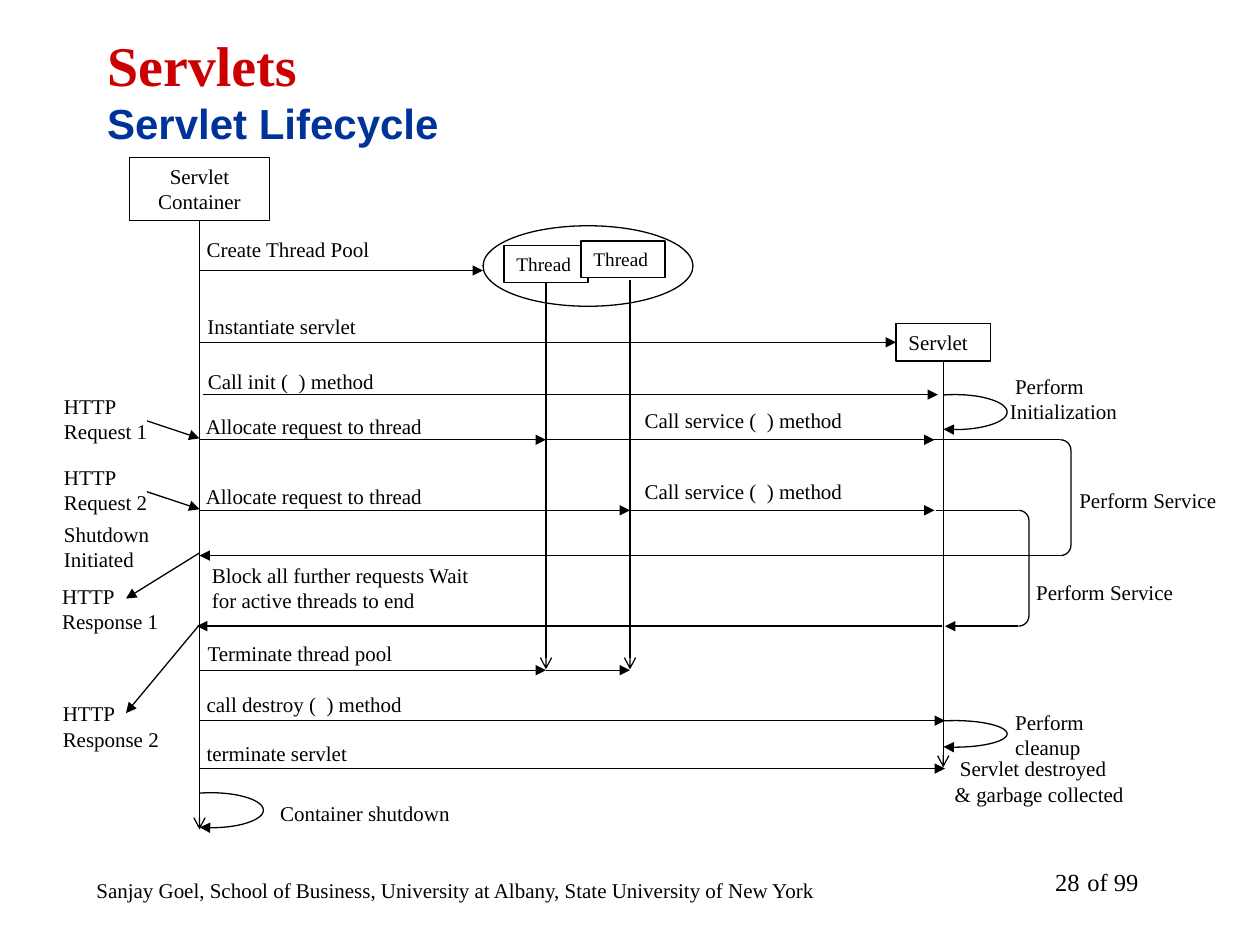
"""Build the servlet lifecycle sequence diagram slide."""
from math import atan2, degrees
from typing import NamedTuple

from lxml.etree import SubElement
from pptx import Presentation
from pptx.dml.color import RGBColor
from pptx.enum.shapes import MSO_CONNECTOR as Link, MSO_SHAPE as Preset
from pptx.enum.text import MSO_ANCHOR as Anchor, MSO_AUTO_SIZE as AutoSize, PP_ALIGN as Align
from pptx.oxml.ns import qn
from pptx.util import Pt

BLACK, WHITE, RED, BLUE = "000000", "FFFFFF", "CC0000", "003399"
SERIF, SANS = "Times New Roman", "Arial"
CONTAINER, THREAD_1, THREAD_2, SERVLET = 114, 312, 360, 539
REQUEST_1, REQUEST_2, REPLY_1, REPLY_2 = 251.3, 291.6, 317.5, 357.8
POOL_END, DESTROY, FINISH = 383, 411.8, 439.2
LEFT, BOTTOM = 1, 2


class Label(NamedTuple):
    text: str
    left: float
    top: float
    width: float
    height: float = 21.6
    indent: float = 0
    size: float = 12
    align: Align = Align.LEFT


class Arrow(NamedTuple):
    x1: float
    y1: float
    x2: float
    y2: float
    tip: str = "triangle"


class Loop(NamedTuple):
    x: float
    top: float
    height: float


class Bracket(NamedTuple):
    left: float
    top: float
    bottom: float


def message(start: float, end: float, y: float, tip: str = "triangle") -> Arrow:
    return Arrow(start, y, end, y, tip)


def color(value: str) -> RGBColor:
    return RGBColor.from_string(value)


def style_span(span, font: str, size: float, tint: str, bold: bool = False) -> None:
    span.font.name, span.font.size, span.font.bold = font, Pt(size), bold
    span.font.color.rgb = color(tint)


def style_line(shape, tip: str = "") -> None:
    shape.line.color.rgb = color(BLACK)
    shape.line.width = Pt(0.75)
    if tip:
        outline = shape.element.spPr.find(qn("a:ln"))
        SubElement(outline, qn("a:tailEnd")).set("type", tip)


def write(shape, label: Label) -> None:
    frame = shape.text_frame
    frame.word_wrap = True
    frame.vertical_anchor = Anchor.TOP
    frame.text = label.text
    para = frame.paragraphs[0]
    para.alignment = label.align
    if label.indent:
        para._p.get_or_add_pPr().set("indent", str(Pt(label.indent)))
    style_span(para.runs[0], SERIF, label.size, BLACK)


def add_label(page, label: Label) -> None:
    write(page.shapes.add_textbox(*map(Pt, label[1:5])), label)


def add_outline(page, preset: Preset, left: float, top: float, width: float, height: float):
    shape = page.shapes.add_shape(preset, Pt(left), Pt(top), Pt(width), Pt(height))
    shape.shadow.inherit = False
    shape.fill.background()
    return shape


def add_node(page, label: Label):
    box = add_outline(page, Preset.RECTANGLE, *label[1:5])
    box.fill.solid()
    box.fill.fore_color.rgb = color(WHITE)
    style_line(box)
    write(box, label)
    return box


def add_arrow(page, arrow: Arrow):
    line = page.shapes.add_connector(Link.STRAIGHT, *map(Pt, arrow[:4]))
    style_line(line, arrow.tip)
    SubElement(line.element.spPr, qn("a:effectLst"))
    return line


def add_loop(page, loop: Loop) -> None:
    radius, overlap, turn = 30, 6.5, 0.6
    arc = add_outline(page, Preset.ARC, loop.x + overlap - radius, loop.top, 2 * radius, loop.height)
    angle = degrees(atan2(loop.height / 2, -overlap))
    arc.adjustments[0] = (360 - angle) * turn
    arc.adjustments[1] = angle * turn
    style_line(arc, "triangle")


def add_bracket(page, bracket: Bracket) -> None:
    shape = add_outline(page, Preset.RIGHT_BRACKET, bracket.left, bracket.top, 6,
                        bracket.bottom - bracket.top)
    shape.adjustments[0] = 1
    style_line(shape)


def add_title(page) -> None:
    title = page.shapes.title
    title.left, title.top, title.width, title.height = Pt(54), Pt(6), Pt(612), Pt(90)
    frame = title.text_frame
    frame.auto_size = AutoSize.NONE
    frame.vertical_anchor = Anchor.MIDDLE
    frame.text = "Servlets\vServlet Lifecycle"
    para = frame.paragraphs[0]
    para.alignment = Align.LEFT
    heading, subheading = para.runs
    style_span(heading, SERIF, 32, RED, True)
    style_span(subheading, SANS, 24, BLUE, True)


LABELS = [
    Label("Sanjay Goel, School of Business, University at Albany, State University of New York",
          48, 498, 450, 36),
    Label("of 99", 606, 492, 60, 36, size=14, align=Align.CENTER),
    Label("28", 516, 492, 108, 36, size=14, align=Align.RIGHT),
    Label("Create Thread Pool", 111, 131.7, 114),
    Label("Instantiate servlet", 111.5, 175.7, 114),
    Label("Call init (  ) method", 111.7, 207, 114),
    Label("Allocate request to thread", 110.5, 232.7, 156),
    Label("Allocate request to thread", 110.5, 273, 156),
    Label("Block all further requests Wait for active threads to end", 114, 317.8, 162, 36),
    Label("Terminate thread pool", 111.5, 362.5, 126),
    Label("call destroy (  ) method", 111, 391.7, 132),
    Label("terminate servlet", 111, 419.8, 102),
    Label("Container shutdown", 153, 454, 120),
    Label("Call service (  ) method", 361.3, 229.5, 132),
    Label("Call service (  ) method", 361.3, 269.8, 132),
    Label("Perform Initialization", 570, 209.8, 78, 36, indent=3),
    Label("Perform Service", 609.7, 275, 102),
    Label("Perform cleanup", 573, 401.8, 54, 36),
    Label("Servlet destroyed & garbage collected", 538.5, 428.4, 113, 36, indent=3),
    Label("Perform Service", 585, 327.6, 102),
    Label("Shutdown Initiated", 29.5, 294.5, 66, 36),
    Label("HTTP Request 1", 29.5, 221.3, 75, 36),
    Label("HTTP Request 2", 29.5, 262, 75, 36),
    Label("HTTP Response 1", 28.5, 330, 75, 36),
    Label("HTTP Response 2", 28.8, 397, 75, 36),
]
ARROWS = [
    message(CONTAINER, 276, 154.6),
    message(116, 536, 225.5),
    message(CONTAINER, THREAD_1, REQUEST_1),
    message(THREAD_1, 534, REQUEST_1),
    message(CONTAINER, THREAD_2, REQUEST_2),
    message(THREAD_2, 534, REQUEST_2),
    message(528, 606, REQUEST_1, ""),
    message(528, 606, REPLY_1, ""),
    message(540, CONTAINER, REPLY_1),
    message(535, 582, REQUEST_2, ""),
    message(582, 540, REPLY_2),
    message(538.5, 112.5, REPLY_2),
    message(CONTAINER, THREAD_1, POOL_END),
    message(THREAD_1, THREAD_2, POOL_END),
    message(CONTAINER, 540, DESTROY),
    message(CONTAINER, 540, FINISH),
    Arrow(THREAD_2, 160, THREAD_2, 382.5, "arrow"),
    Arrow(CONTAINER, 357, 72, 407.5),
    Arrow(CONTAINER, 316, 72, 342),
    Arrow(84, 240.5, CONTAINER, 250.5),
    Arrow(84, 281, CONTAINER, 291),
]
LOOPS = [Loop(SERVLET, 225.5, 20), Loop(SERVLET, DESTROY, 15.2), Loop(CONTAINER, 453, 20)]
BRACKETS = [Bracket(606, REQUEST_1, REPLY_1), Bracket(582, REQUEST_2, REPLY_2)]


def add_lifelines(page) -> None:
    container = add_node(page, Label("Servlet Container", 74, 90, 80, 36, align=Align.CENTER))
    style_line(add_outline(page, Preset.OVAL, 276, 129, 120, 46))
    thread = add_node(page, Label("Thread", 288, 140.5, 48, 20.8, size=11))
    add_node(page, Label("Thread", 332, 137.7, 48, 20.8, size=11))
    servlet = add_node(page, Label("Servlet", 512, 184.8, 54))
    for box, x, end in ((container, CONTAINER, 474), (thread, THREAD_1, 382.5), (servlet, SERVLET, 438.5)):
        add_arrow(page, Arrow(x, 126, x, end, "arrow")).begin_connect(box, BOTTOM)
    add_arrow(page, message(CONTAINER, 512, 195.6)).end_connect(servlet, LEFT)


def main() -> None:
    deck = Presentation()
    deck.slide_width, deck.slide_height = Pt(720), Pt(540)
    page = deck.slides.add_slide(deck.slide_layouts.get_by_name("Title Only"))
    add_title(page)
    add_lifelines(page)
    for items, draw in ((ARROWS, add_arrow), (BRACKETS, add_bracket), (LOOPS, add_loop), (LABELS, add_label)):
        for item in items:
            draw(page, item)
    deck.save("out.pptx")


if __name__ == "__main__":
    main()
